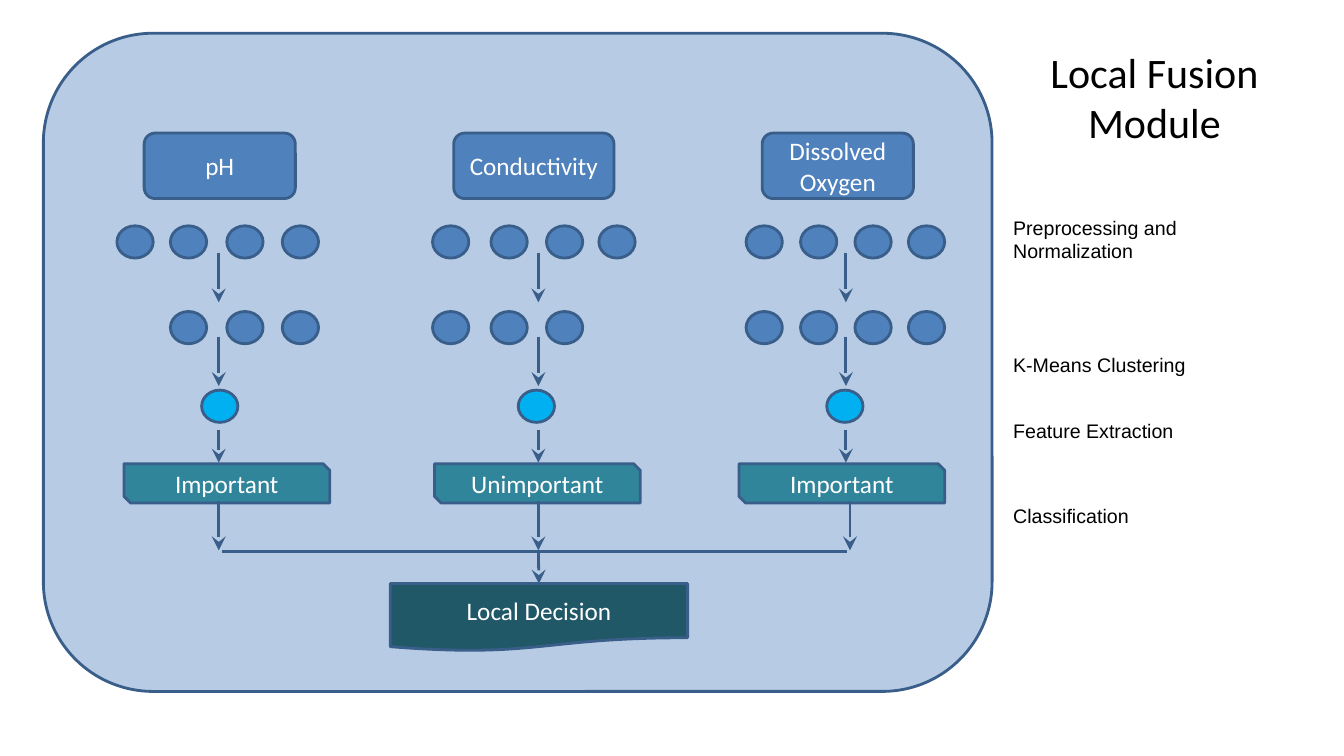
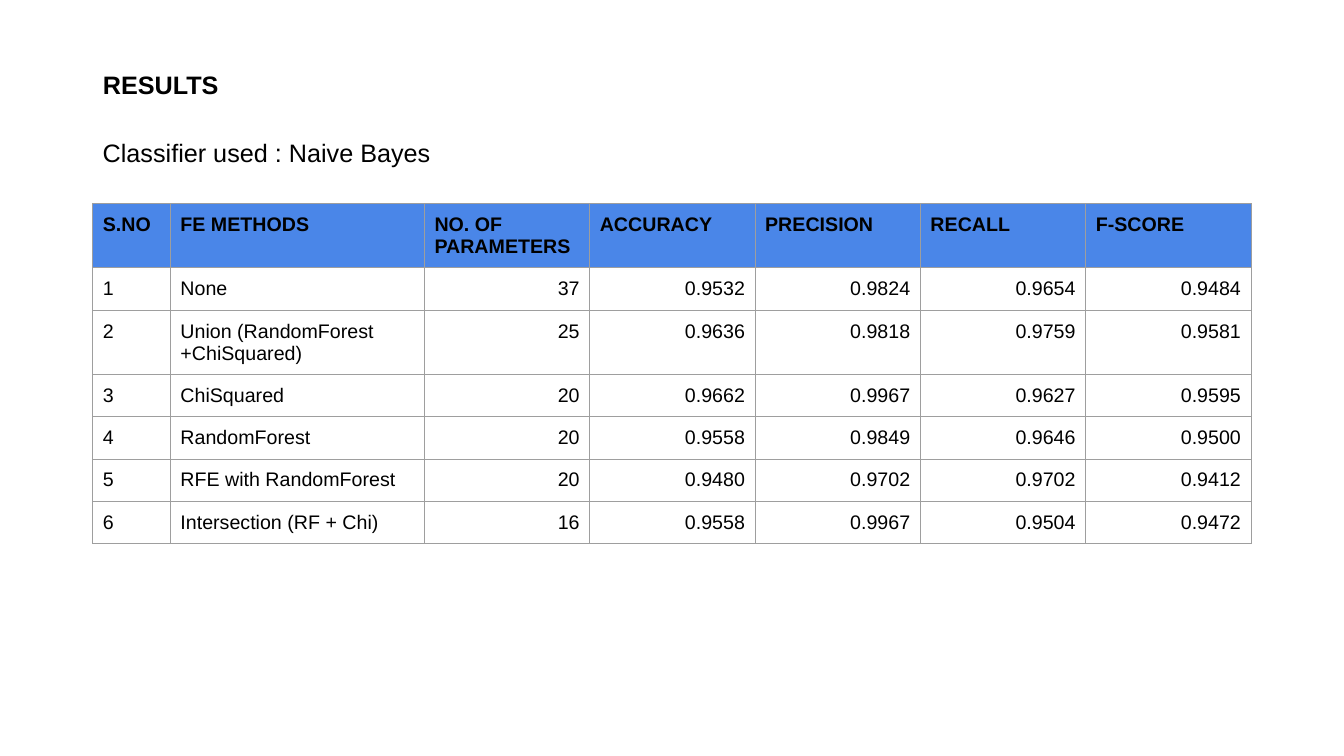
from pptx import Presentation
from pptx.dml.color import RGBColor
from pptx.enum.shapes import MSO_CONNECTOR, MSO_SHAPE
from pptx.enum.text import MSO_ANCHOR, MSO_AUTO_SIZE, PP_ALIGN
from pptx.oxml.ns import qn
from pptx.util import Emu, Pt
from lxml.etree import SubElement

EMU_PER_PX = 9144  # 100 px to the inch

BLACK = RGBColor(0x00, 0x00, 0x00)
WHITE = RGBColor(0xFF, 0xFF, 0xFF)
OUTLINE = RGBColor(0x39, 0x5E, 0x89)
PANEL = RGBColor(0xB7, 0xCC, 0xE4)
BLUE = RGBColor(0x4F, 0x81, 0xBD)
CYAN = RGBColor(0x00, 0xB0, 0xF0)
TEAL = RGBColor(0x31, 0x85, 0x9B)
DARK_TEAL = RGBColor(0x20, 0x58, 0x67)
HEADER = RGBColor(0x4A, 0x86, 0xE8)
GRID = RGBColor(0x9E, 0x9E, 0x9E)


def px(n):
    return Emu(n * EMU_PER_PX)


class Deck:
    """Shared style and the slide being built."""

    def __init__(self, width, height):
        self.prs = Presentation()
        self.prs.slide_width, self.prs.slide_height = px(width), px(height)
        self.s = None

    def add_slide(self):
        self.s = self.prs.slides.add_slide(self.prs.slide_layouts[5])

    def set_text(self, tf, text, size, font, color=BLACK, bold=False,
                 align=PP_ALIGN.LEFT):
        tf.text = text
        for p in tf.paragraphs:
            p.alignment = align
            for r in p.runs:
                r.font.size, r.font.name, r.font.bold = Pt(size), font, bold
                r.font.color.rgb = color

    def frame(self, tf, anchor=MSO_ANCHOR.TOP, pad=10):
        tf.word_wrap = True
        tf.auto_size = MSO_AUTO_SIZE.NONE
        tf.vertical_anchor = anchor
        tf.margin_left = tf.margin_right = px(10)
        tf.margin_top = tf.margin_bottom = px(pad)

    def title(self, text, x, y, w, h, size, font, pad=10, **style):
        sp = self.s.shapes.title
        sp.left, sp.top, sp.width, sp.height = map(px, (x, y, w, h))
        self.frame(sp.text_frame, pad=pad)
        self.set_text(sp.text_frame, text, size, font, **style)

    def text(self, text, x, y, w, h, size):
        tf = self.s.shapes.add_textbox(*map(px, (x, y, w, h))).text_frame
        self.frame(tf)
        self.set_text(tf, text, size, "Arial")

    def shape(self, kind, x, y, w, h, fill, text=""):
        sp = self.s.shapes.add_shape(kind, *map(px, (x, y, w, h)))
        sp.shadow.inherit = False
        sp.fill.solid()
        sp.fill.fore_color.rgb = fill
        sp.line.color.rgb = OUTLINE
        sp.line.width = Pt(2)
        if text:
            self.frame(sp.text_frame, MSO_ANCHOR.MIDDLE, pad=5)
            self.set_text(sp.text_frame, text, 18, "Calibri", WHITE,
                          align=PP_ALIGN.CENTER)
        return sp

    def dot(self, x, y, fill=BLUE):
        self.shape(MSO_SHAPE.OVAL, x, y, 36, 32, fill)

    def line(self, x1, y1, x2, y2, arrow=True):
        cx = self.s.shapes.add_connector(
            MSO_CONNECTOR.STRAIGHT, *map(px, (x1, y1, x2, y2)))
        cx.line.color.rgb = OUTLINE
        cx.line.width = Pt(2)
        spPr = cx._element.spPr
        if arrow:
            SubElement(spPr.find(qn("a:ln")), qn("a:tailEnd"),
                       type="stealth", w="lg", len="lg")
        SubElement(spPr, qn("a:effectLst"))
        return cx

    def border(self, cell):
        tcPr = cell._tc.get_or_add_tcPr()
        for side in ("a:lnL", "a:lnR", "a:lnT", "a:lnB"):
            ln = SubElement(tcPr, qn(side), w=str(int(Pt(0.75))))
            fill = SubElement(ln, qn("a:solidFill"))
            SubElement(fill, qn("a:srgbClr"), val=str(GRID))

    def table(self, rows, x, y, widths, row_h, left_cols):
        shape = self.s.shapes.add_table(
            len(rows), len(widths), px(x), px(y),
            px(sum(widths)), px(row_h * len(rows)))
        tbl = shape.table
        tbl.first_row = tbl.horz_banding = False
        for col, w in zip(tbl.columns, widths):
            col.width = px(w)
        for i, row in enumerate(rows):
            for j, value in enumerate(row):
                cell = tbl.cell(i, j)
                cell.margin_left = cell.margin_right = px(10)
                cell.margin_top = cell.margin_bottom = px(10)
                self.border(cell)
                head = i == 0
                if head:
                    cell.fill.solid()
                    cell.fill.fore_color.rgb = HEADER
                else:
                    cell.fill.background()
                left = head or j < left_cols
                self.set_text(cell.text_frame, value, 14, "Arial", bold=head,
                              align=PP_ALIGN.LEFT if left else PP_ALIGN.RIGHT)


# Sensor columns: name, box left and width, dots, dots kept after clustering,
# axis of the arrows, feature dot left, verdict, verdict left, exit arrow
SENSORS = [
    ("pH", 143, 150, (116, 169, 225, 280), slice(1, 4),
     217, 200, "Important", 123, 217),
    ("Conductivity", 450, 159, (429, 487, 542, 594), slice(0, 3),
     534, 514, "Unimportant", 431, 534),
    ("Dissolved Oxygen", 756, 150, (740, 794, 848, 901), slice(0, 4),
     839, 820, "Important", 733, 843),
]
STAGES = [
    ("Preprocessing and Normalization", 204),
    ("K-Means Clustering", 340),
    ("Feature Extraction", 406),
    ("Classification", 490),
]
RESULTS = [
    ("S.NO", "FE METHODS", "NO. OF PARAMETERS", "ACCURACY", "PRECISION",
     "RECALL", "F-SCORE"),
    ("1", "None", "37", "0.9532", "0.9824", "0.9654", "0.9484"),
    ("2", "Union (RandomForest +ChiSquared)", "25", "0.9636", "0.9818",
     "0.9759", "0.9581"),
    ("3", "ChiSquared", "20", "0.9662", "0.9967", "0.9627", "0.9595"),
    ("4", "RandomForest", "20", "0.9558", "0.9849", "0.9646", "0.9500"),
    ("5", "RFE with RandomForest", "20", "0.9480", "0.9702", "0.9702",
     "0.9412"),
    ("6", "Intersection (RF + Chi)", "16", "0.9558", "0.9967", "0.9504",
     "0.9472"),
]


def fusion_slide(deck):
    deck.add_slide()
    deck.title("Local Fusion\nModule", 995, 41, 300, 74, 30, "Calibri",
               pad=5, align=PP_ALIGN.CENTER)
    deck.shape(MSO_SHAPE.ROUNDED_RECTANGLE, 43, 33, 941, 653, PANEL)

    # One column per sensor
    for (name, box_x, box_w, dots, kept, axis, feature_x,
         verdict, verdict_x, exit_x) in SENSORS:
        deck.shape(MSO_SHAPE.ROUNDED_RECTANGLE, box_x, 132, box_w, 65,
                   BLUE, name)
        for x in dots:
            deck.dot(x, 224)
        for x in dots[kept]:
            deck.dot(x, 309)
        deck.dot(feature_x, 387, CYAN)
        deck.shape(MSO_SHAPE.SNIP_2_DIAG_RECTANGLE, verdict_x, 460, 204, 39,
                   TEAL, verdict)
        for x, top, bottom in ((axis, 251, 300), (axis, 334, 383),
                               (axis, 427, 459), (exit_x, 497, 546)):
            deck.line(x, top, x, bottom)

    # Merge into the decision
    deck.line(220, 547, 840, 547, arrow=False)
    decision = deck.shape(MSO_SHAPE.FLOWCHART_DOCUMENT, 387, 579, 295, 67,
                          DARK_TEAL, "Local Decision")
    deck.line(534, 547, 534, 579).end_connect(decision, 0)

    # Stage captions
    for caption, y in STAGES:
        deck.text(caption, 995, y, 253, 40, 14)


def results_slide(deck):
    deck.add_slide()
    deck.title("RESULTS", 92, 59, 298, 51, 18, "Arial", bold=True)
    deck.text("Classifier used : Naive Bayes", 92, 126, 361, 38, 18)
    deck.table(RESULTS, 92, 202, [77, 252] + [164] * 5, 42, left_cols=2)


def main():
    deck = Deck(1333, 750)
    fusion_slide(deck)
    results_slide(deck)
    deck.prs.save("out.pptx")


if __name__ == "__main__":
    main()
